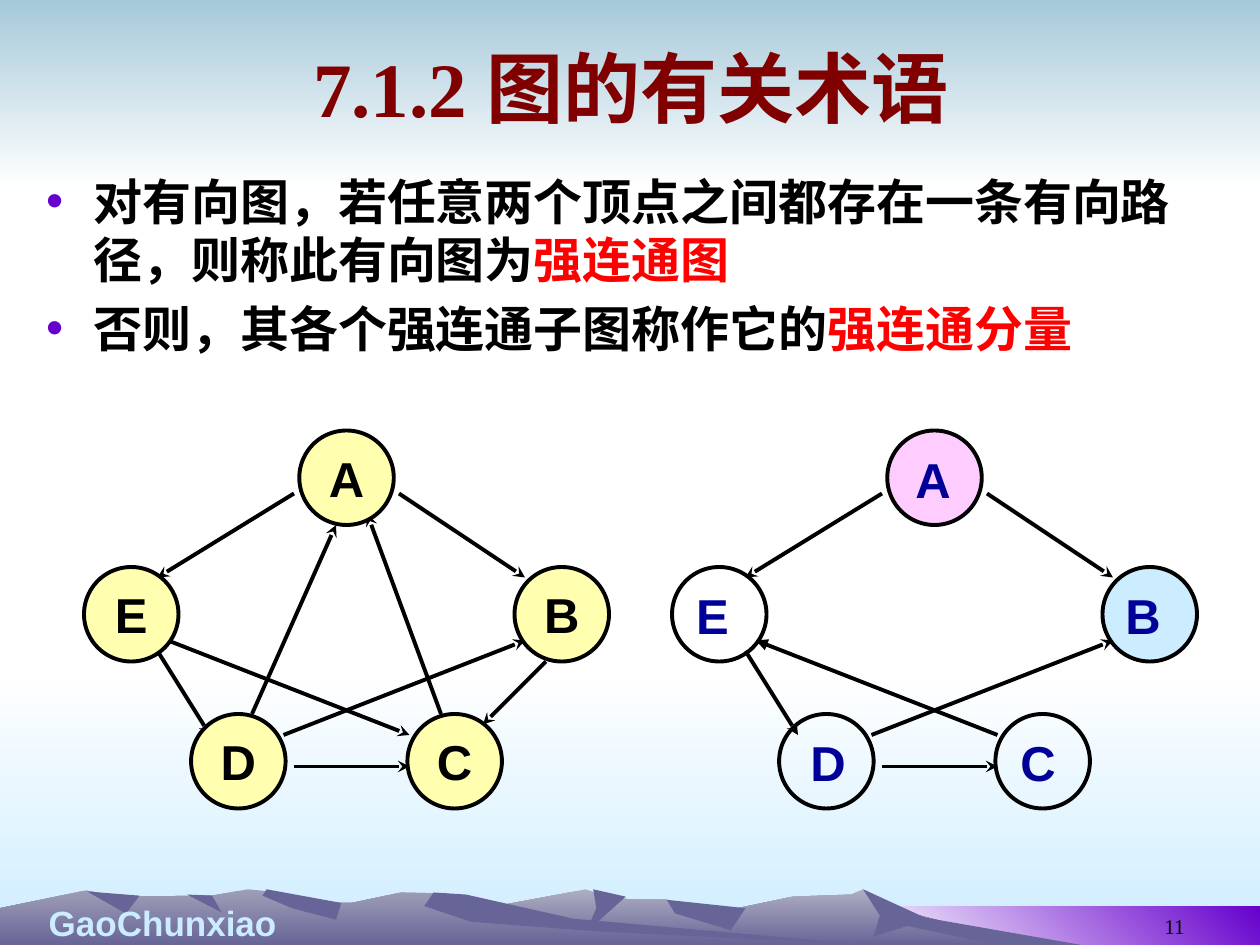
from lxml import etree
from pptx import Presentation, util as u
from pptx.dml.color import RGBColor
from pptx.enum import shapes, text
from pptx.oxml.ns import qn

PX = 7620  # EMU per px: 120 px to the inch
W, H = 1200, 900

THEME = {
    "serif": "Times New Roman", "sans": "Arial",
    "title": 44, "body": 28, "node": 28, "footer": 20, "number": 12,
    "ink": "000000", "heading": "800000", "key": "FF0000", "bullet": "6600CC",
    "pale": "CCECFF", "white": "FFFFFF", "sky": "A6C9DA", "shade": "676597",
    "far": "AEAEC2", "near": "9F9EB8",
    "yellow": "FFFFAF", "pink": "FFCCFF", "label": "000099",
}

# Content
TITLE = "7.1.2 图的有关术语"
BODY = [
    [("对有向图，若任意两个顶点之间都存在一条有向路径，则称此有向图为", "ink"), ("强连通图", "key")],
    [("否则，其各个强连通子图称作它的", "ink"), ("强连通分量", "key")],
]
NODE = 90
NODES = {"A": (285, 410), "B": (490, 540), "C": (388, 680), "D": (182, 680), "E": (80, 540)}
EDGES = {
    "AE": (280, 470, 150, 550), "ED": (150, 620, 200, 700), "DC": (280, 730, 390, 730),
    "CA": (420, 680, 350, 490), "AB": (380, 470, 500, 550), "BC": (520, 630, 460, 690),
    "DA": (240, 680, 320, 500), "DB": (270, 700, 500, 610), "EC": (160, 610, 390, 700),
}
GRAPH_STEP = 560  # from the left graph to the right one
RIGHT_EDGES = ["AE", "ED", "DC", "AB", "DB"]
RIGHT_FILLS = {"A": "pink", "B": "pale"}
LABEL_DX = {"A": 15, "B": 10, "C": 12, "D": 18, "E": 10}
LABEL_DY = 12

# Scenery: (box, first colour, last colour, angle)
BANDS = [
    ((0, 640, W, 260), "white", "pale", 270),
    ((0, 0, W, 180), "sky", "white", 270),
    ((820, 863, 380, 37), "white", "bullet", 45),
]
# Mountains from back to front: ridges rise from the slide's foot, shadows lie on them
MOUNTAINS = [
    ("far", [(310, H), (392, 877), (473, 863), (558, 847), (583, 856), (635, 857), (679, 870),
             (755, 854), (811, 852), (822, 847), (868, 870), (985, H)]),
    (None, [(822, 847), (838, 872), (832, 892), (864, 882), (950, H), (1030, H), (881, 874)]),
    (None, [(565, 847), (568, 865), (558, 888), (596, 854)]),
    (None, [(635, 857), (643, 870), (696, 886), (710, 865)]),
    ("near", [(0, H), (0, 865), (82, 848), (113, 854), (202, 853), (236, 847), (268, 850),
              (283, 860), (335, 860), (382, 850), (425, 851), (518, 878), (828, H)]),
    (None, [(254, 847), (250, 853), (278, 865), (320, 876), (325, 860)]),
    (None, [(413, 850), (404, 863), (449, 878), (566, 887), (828, H), (546, 875), (444, 852)]),
    (None, [(178, 852), (211, 869), (202, 853)]),
    (None, [(83, 849), (120, 870), (133, 853)]),
]


def color(name):
    return RGBColor.from_string(THEME[name])


def emu(*lengths):
    return [n * PX for n in lengths]


def write(p, s, size="body", font="serif", ink="ink", bold=True, align=None):
    """Add one formatted run to a paragraph."""
    if align is not None:
        p.alignment = align
    r = p.add_run()
    r.text = s
    r.font.name, r.font.size, r.font.bold = THEME[font], u.Pt(THEME[size]), bold
    r.font.color.rgb = color(ink)


def paint(sp, first=None, last=None, angle=270):
    """Fill a shape with a gradient, one colour or nothing."""
    sp.shadow.inherit = False
    if last:
        sp.fill.gradient()
        sp.fill.gradient_angle = angle
        for stop, name in zip(sp.fill.gradient_stops, (first, last)):
            stop.color.rgb = color(name)
    elif first:
        sp.fill.solid()
        sp.fill.fore_color.rgb = color(first)
    else:
        sp.fill.background()
    sp.line.fill.background()


def text_box(slide, box, s, wrap=True, anchor=text.MSO_ANCHOR.TOP, **fmt):
    tf = slide.shapes.add_textbox(*emu(*box)).text_frame
    tf.word_wrap, tf.vertical_anchor = wrap, anchor
    write(tf.paragraphs[0], s, **fmt)


def add_node(slide, name, dx=0, fill=None):
    x, y = NODES[name]
    sp = slide.shapes.add_shape(shapes.MSO_SHAPE.OVAL, *emu(x + dx, y, NODE, NODE))
    paint(sp, fill)
    sp.line.color.rgb, sp.line.width = color("ink"), u.Pt(2.25)
    return sp


def add_edge(slide, name, dx=0, end="tailEnd", arrow="stealth"):
    x1, y1, x2, y2 = EDGES[name]
    line = slide.shapes.add_connector(
        shapes.MSO_CONNECTOR.STRAIGHT, *emu(x1 + dx, y1, x2 + dx, y2))
    line.line.color.rgb, line.line.width = color("ink"), u.Pt(2.25)
    etree.SubElement(line.line._get_or_add_ln(), qn("a:" + end), type=arrow)
    etree.SubElement(line._element.spPr, qn("a:effectLst"))


def add_bullet(p):
    pPr = p._p.get_or_add_pPr()
    pPr.set("marL", str(45 * PX))
    pPr.set("indent", str(-45 * PX))
    clr = etree.SubElement(pPr, qn("a:buClr"))
    etree.SubElement(clr, qn("a:srgbClr"), val=THEME["bullet"])
    etree.SubElement(pPr, qn("a:buFont"), typeface=THEME["sans"])
    etree.SubElement(pPr, qn("a:buChar"), char="•")


def place(slide, sp, box):
    """Move a placeholder and bring it in front of the scenery."""
    sp.left, sp.top, sp.width, sp.height = emu(*box)
    slide.shapes._spTree.append(sp._element)
    sp.text_frame.auto_size = text.MSO_AUTO_SIZE.NONE
    return sp.text_frame


def main():
    center, right = text.PP_ALIGN.CENTER, text.PP_ALIGN.RIGHT
    middle, bottom = text.MSO_ANCHOR.MIDDLE, text.MSO_ANCHOR.BOTTOM
    prs = Presentation()
    prs.slide_width, prs.slide_height = emu(W, H)
    slide = prs.slides.add_slide(prs.slide_layouts[1])

    # Scenery
    for box, first, last, angle in BANDS:
        paint(slide.shapes.add_shape(shapes.MSO_SHAPE.RECTANGLE, *emu(*box)), first, last, angle)
    for top, points in MOUNTAINS:
        outline = slide.shapes.build_freeform(*points[0], scale=PX)
        outline.add_line_segments(points[1:], close=True)
        paint(outline.convert_to_shape(), top or "shade", "shade" if top else None)

    # Footer
    text_box(slide, (0, 853, 310, 47), "GaoChunxiao", size="footer", font="sans", ink="pale",
             align=center)
    text_box(slide, (860, 843, 280, 57), "11", anchor=bottom, size="number", bold=False,
             align=right)

    # Title and definitions
    tf = place(slide, slide.shapes.title, (61, 16, 1080, 134))
    tf.vertical_anchor = middle
    write(tf.paragraphs[0], TITLE, size="title", ink="heading", align=center)
    tf = place(slide, slide.placeholders[1], (32, 157, 1134, 680))
    for i, runs in enumerate(BODY):
        p = tf.add_paragraph() if i else tf.paragraphs[0]
        p.space_before = u.Pt(5.6 if i else 0)
        add_bullet(p)
        for s, ink in runs:
            write(p, s, ink=ink)

    # Right graph: its components
    for name in NODES:
        add_node(slide, name, GRAPH_STEP, RIGHT_FILLS.get(name))
    for name in RIGHT_EDGES:
        add_edge(slide, name, GRAPH_STEP)
    add_edge(slide, "EC", GRAPH_STEP, end="headEnd", arrow="triangle")
    for name, (x, y) in NODES.items():
        box = (x + GRAPH_STEP + LABEL_DX[name], y + LABEL_DY, 57, 68)
        text_box(slide, box, name, wrap=False, size="node", font="sans", ink="label",
                 align=center)

    # Left graph: strongly connected
    for name in EDGES:
        add_edge(slide, name)
    for name in NODES:
        tf = add_node(slide, name, fill="yellow").text_frame
        tf.word_wrap, tf.vertical_anchor = False, middle
        write(tf.paragraphs[0], name, size="node", font="sans", align=center)

    prs.save("out.pptx")


if __name__ == "__main__":
    main()
